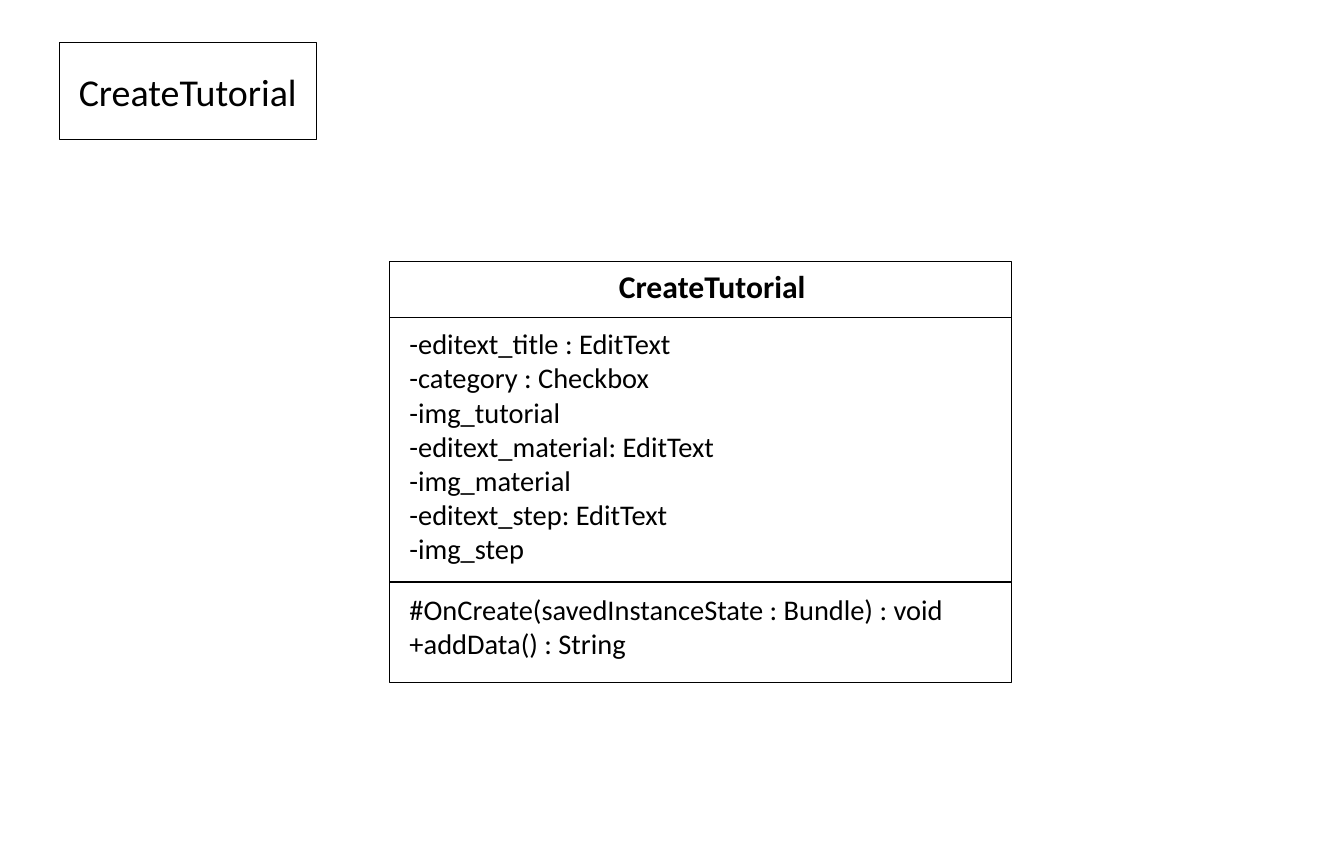
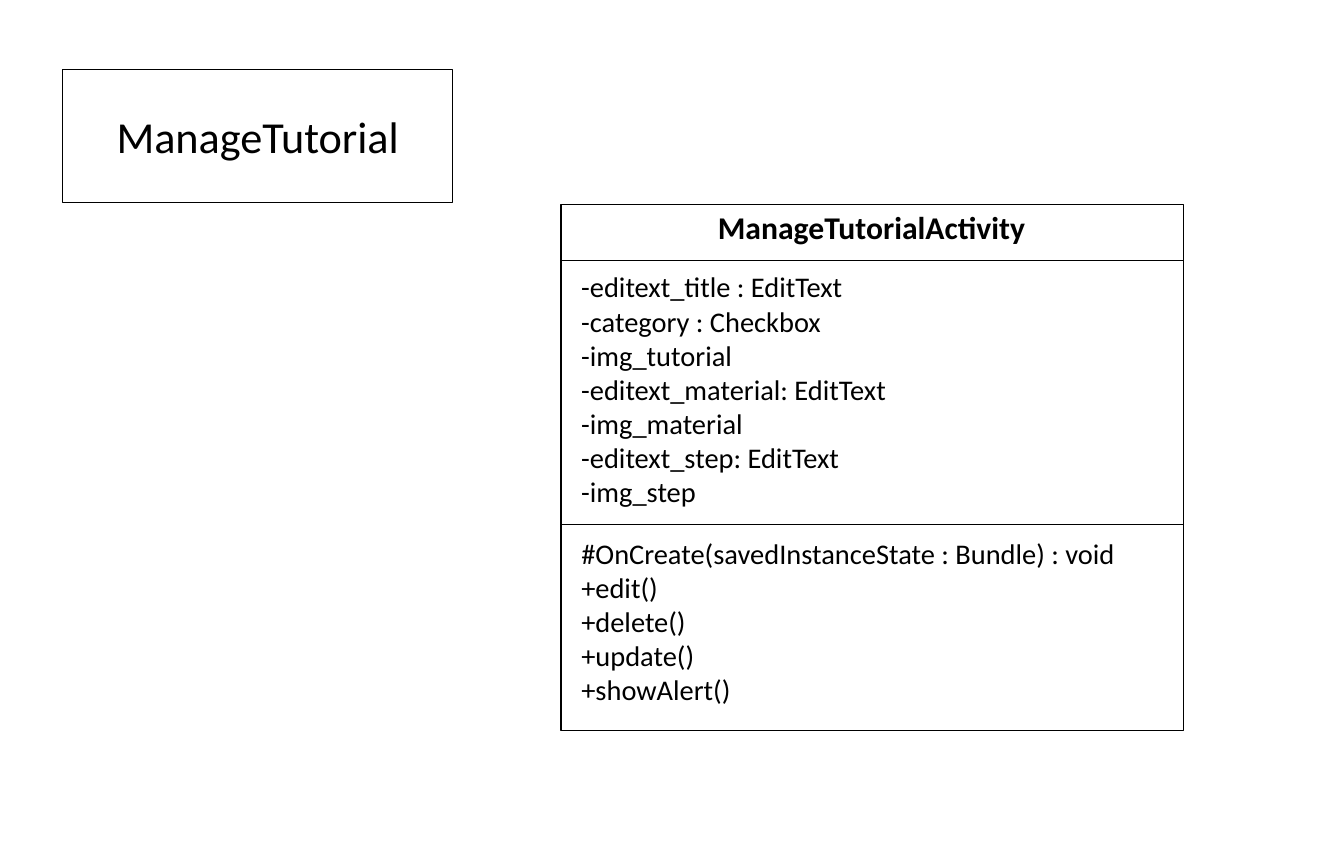
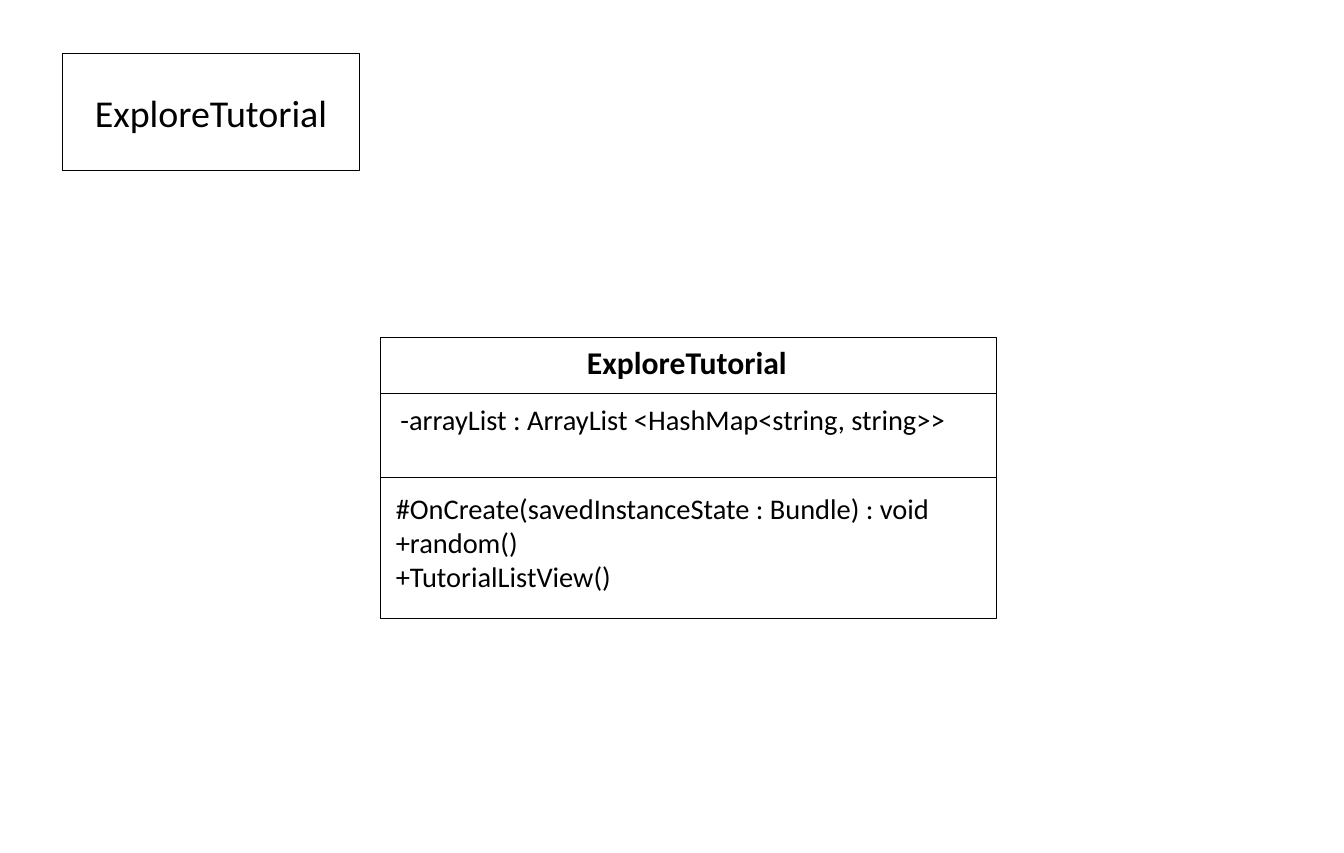
from pptx import Presentation
from pptx.dml.color import RGBColor
from pptx.enum.shapes import MSO_CONNECTOR, MSO_SHAPE
from pptx.enum.text import MSO_ANCHOR, MSO_AUTO_SIZE, PP_ALIGN
from pptx.oxml.ns import qn
from pptx.util import Inches, Pt
from lxml.etree import SubElement

BLACK = RGBColor(0x00, 0x00, 0x00)
WHITE = RGBColor(0xFF, 0xFF, 0xFF)
FONT = "Calibri"
SLIDE_WIDTH = Inches(30 / 2.54)
SLIDE_HEIGHT = Inches(7.5)
HEADER_HEIGHT = 0.49

HEADING = {"size": Pt(20), "bold": True}
MEMBER = {"size": Pt(18), "bold": False}

FORM_FIELDS = [
    "-editext_title : EditText\n-category : Checkbox",
    "-img_tutorial",
    "-editext_material: EditText\n-img_material\n-editext_step: EditText\n-img_step",
]
ON_CREATE = "#OnCreate(savedInstanceState : Bundle) : void"

DIAGRAMS = [
    {
        "title": "CreateTutorial",
        "title_size": 24,
        "title_at": (0.52, 0.37, 2.26, 0.86),
        "class_at": (3.42, 2.3, 5.47, 3.7),
        "heading": "CreateTutorial",
        "heading_at": (5.34, 2.3, 2.02, 0.44),
        "fields": FORM_FIELDS,
        "fields_at": (3.5, 2.82, 4.67, 2.52),
        "methods": [ON_CREATE + "\n+addData() : String"],
        "methods_line": 5.12,
        "methods_at": (3.5, 5.16, 5.08, 0.71),
    },
    {
        "title": "ManageTutorial",
        "title_size": 28,
        "title_at": (0.55, 0.61, 3.43, 1.17),
        "class_at": (4.93, 1.8, 5.47, 4.62),
        "heading": "ManageTutorialActivity",
        "heading_at": (6.21, 1.78, 3.19, 0.44),
        "fields": FORM_FIELDS,
        "fields_at": (5.01, 2.32, 4.67, 2.52),
        "methods": [ON_CREATE + "\n+edit()", "+delete()", "+update()", "+showAlert()"],
        "methods_line": 4.61,
        "methods_at": (5.01, 4.66, 5.08, 1.62),
    },
    {
        "title": "ExploreTutorial",
        "title_size": 24,
        "title_at": (0.55, 0.47, 2.61, 1.03),
        "class_at": (3.34, 2.97, 5.42, 2.47),
        "heading": "ExploreTutorial",
        "heading_at": (5.06, 2.97, 2.04, 0.44),
        "fields": ["-arrayList : ArrayList <HashMap<string, string>>"],
        "fields_at": (3.42, 3.49, 5.1, 0.4),
        "methods": [ON_CREATE, "+random()", "+TutorialListView()"],
        "methods_line": 4.2,
        "methods_at": (3.38, 4.27, 5.37, 1.01),
    },
]


def outline(shape):
    shape.fill.solid()
    shape.fill.fore_color.rgb = WHITE
    shape.line.color.rgb = BLACK
    shape.line.width = Pt(0.75)


def write(frame, paragraphs, style, alignment=PP_ALIGN.LEFT):
    frame.word_wrap = True
    for index, text in enumerate(paragraphs):
        para = frame.add_paragraph() if index else frame.paragraphs[0]
        para.alignment = alignment
        for number, line in enumerate(text.split("\n")):
            if number:
                para.add_line_break()
            span = para.add_run()
            span.text = line
            span.font.name = FONT
            span.font.color.rgb = BLACK
            for name, value in style.items():
                setattr(span.font, name, value)


def add_title(page, text, size, at):
    title = page.shapes.title
    for name, value in zip(("left", "top", "width", "height"), at):
        setattr(title, name, Inches(value))
    outline(title)
    write(title.text_frame, [text], {"size": Pt(size)}, PP_ALIGN.CENTER)
    title.text_frame.auto_size = MSO_AUTO_SIZE.NONE
    title.text_frame.vertical_anchor = MSO_ANCHOR.MIDDLE


def add_text(page, paragraphs, style, at):
    box = page.shapes.add_textbox(*map(Inches, at))
    write(box.text_frame, paragraphs, style)
    box.text_frame.auto_size = MSO_AUTO_SIZE.SHAPE_TO_FIT_TEXT


def add_divider(page, left, width, top):
    ends = map(Inches, (left, top, left + width, top))
    divider = page.shapes.add_connector(MSO_CONNECTOR.STRAIGHT, *ends)
    divider.line.color.rgb = BLACK
    divider.line.width = Pt(1)
    SubElement(divider.element.spPr, qn("a:effectLst"))


def add_class(page, diagram):
    left, top, width, height = diagram["class_at"]
    frame = page.shapes.add_shape(
        MSO_SHAPE.RECTANGLE, *map(Inches, (left, top, width, height))
    )
    frame.shadow.inherit = False
    outline(frame)
    add_divider(page, left, width, top + HEADER_HEIGHT)
    add_text(page, [diagram["heading"]], HEADING, diagram["heading_at"])
    add_divider(page, left, width, diagram["methods_line"])
    for part in ("fields", "methods"):
        add_text(page, diagram[part], MEMBER, diagram[part + "_at"])


def main():
    deck = Presentation()
    deck.slide_width = SLIDE_WIDTH
    deck.slide_height = SLIDE_HEIGHT
    for diagram in DIAGRAMS:
        page = deck.slides.add_slide(deck.slide_layouts[5])
        add_title(page, diagram["title"], diagram["title_size"], diagram["title_at"])
        add_class(page, diagram)
    deck.save("out.pptx")


if __name__ == "__main__":
    main()
